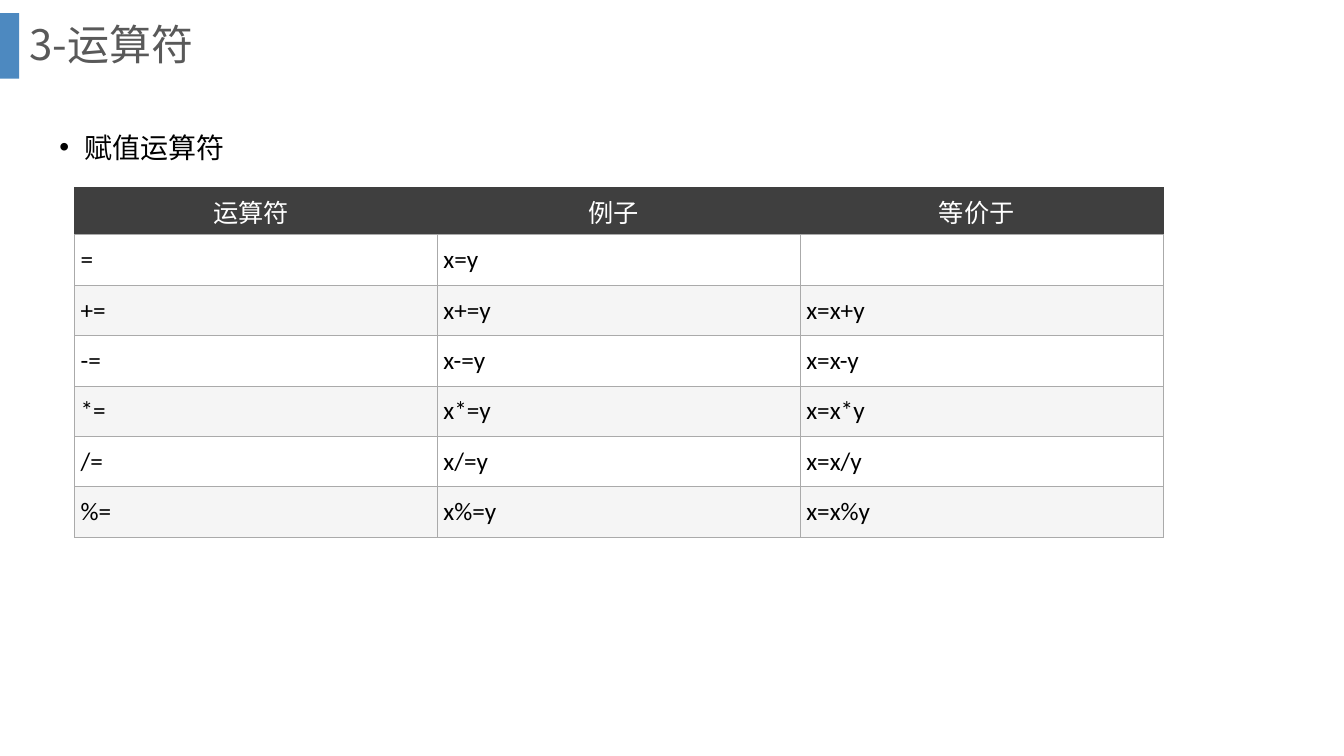
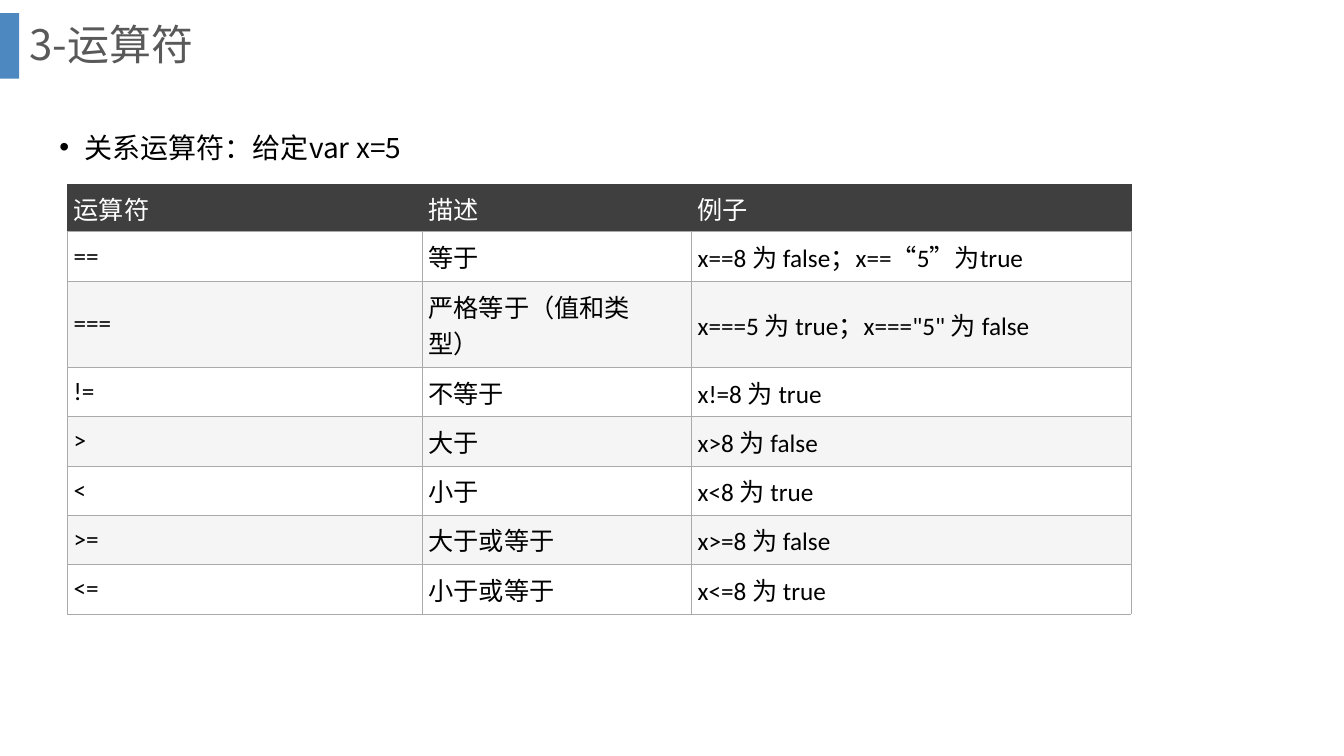
"""Build two slides on assignment and relational operators, each with a table."""
from dataclasses import dataclass

from lxml import etree
from pptx import Presentation
from pptx.dml.color import RGBColor
from pptx.enum.shapes import MSO_SHAPE
from pptx.enum.text import MSO_ANCHOR, PP_ALIGN
from pptx.oxml.ns import qn
from pptx.util import Inches, Pt

RECTANGLE = MSO_SHAPE.RECTANGLE
MIDDLE = MSO_ANCHOR.MIDDLE
LEFT, CENTER = PP_ALIGN.LEFT, PP_ALIGN.CENTER


@dataclass(frozen=True)
class Theme:
    accent: str = "2E75B6"
    title: str = "595959"
    text: str = "000000"
    header: str = "3F3F3F"
    header_text: str = "FFFFFF"
    border: str = "AAAAAA"
    stripes: tuple = ("FFFFFF", "F5F5F5")
    cjk_font: str = "Noto Sans CJK SC"
    table_font: str = "Calibri"
    title_size: int = 30
    topic_size: int = 20
    table_size: int = 18


theme = Theme()


def style_text(paragraph, text, size, color, font):
    paragraph.text = text
    paragraph.font.size = Pt(size)
    paragraph.font.name = font
    paragraph.font.color.rgb = RGBColor.from_string(color)
    run_defaults = paragraph._p.pPr.find(qn("a:defRPr"))
    etree.SubElement(run_defaults, qn("a:ea"), typeface=theme.cjk_font)


def style_cell(cell, fill, side_color, bottom_color):
    properties = cell._tc.get_or_add_tcPr()
    for side in "LRTB":
        line = etree.SubElement(properties, qn(f"a:ln{side}"), w=str(Pt(0.75)))
        solid = etree.SubElement(line, qn("a:solidFill"))
        etree.SubElement(solid, qn("a:srgbClr"),
                         val=bottom_color if side == "B" else side_color)
    cell.fill.solid()
    cell.fill.fore_color.rgb = RGBColor.from_string(fill)
    cell.vertical_anchor = MIDDLE


topics = [
    {
        "topic": "赋值运算符",
        "origin": (5.55, 24.8),
        "columns": (27, 27, 27),
        "body_row": 6.67,
        "tall_rows": {},
        "header_align": CENTER,
        "rows": [
            ("运算符", "例子", "等价于"),
            ("=", "x=y", ""),
            *((f"{sign}=", f"x{sign}=y", f"x=x{sign}y") for sign in "+-*/%"),
        ],
    },
    {
        "topic": "关系运算符：给定var x=5",
        "origin": (5.03, 24.4),
        "columns": (26.4, 20.03, 32.7),
        "body_row": 6.53,
        "tall_rows": {2: 11.4},
        "header_align": LEFT,
        "rows": [
            ("运算符", "描述", "例子"),
            ("==", "等于", "x==8 为 false；x==“5”为true"),
            ("===", "严格等于（值和类型）", 'x===5 为 true；x==="5" 为 false'),
            ("!=", "不等于", "x!=8 为 true"),
            (">", "大于", "x>8 为 false"),
            ("<", "小于", "x<8 为 true"),
            (">=", "大于或等于", "x>=8 为 false"),
            ("<=", "小于或等于", "x<=8 为 true"),
        ],
    },
]

HEADER_ROW = 6.27

deck = Presentation()
deck.slide_width, deck.slide_height = Inches(13.33), Inches(7.5)
column, row = deck.slide_width / 100, deck.slide_height / 100
blank_layout = deck.slide_layouts[6]

for content in topics:
    slide = deck.slides.add_slide(blank_layout)

    marker = slide.shapes.add_shape(RECTANGLE, 0, int(1.73 * row),
                                    int(1.43 * column), int(8.67 * row))
    marker.shadow.inherit = False
    marker.line.fill.background()
    marker.fill.solid()
    marker.fill.fore_color.rgb = RGBColor.from_string(theme.accent)
    marker_color = marker._element.spPr.find(".//" + qn("a:srgbClr"))
    etree.SubElement(marker_color, qn("a:alpha"), val="85000")

    title = slide.shapes.add_textbox(int(1.43 * column), 0,
                                     int(95 * column), int(12.4 * row)).text_frame
    title.word_wrap = True
    title.vertical_anchor = MIDDLE
    title.paragraphs[0].line_spacing = 0.9
    style_text(title.paragraphs[0], "3-运算符", theme.title_size,
               theme.title, theme.cjk_font)

    topic = slide.shapes.add_textbox(int(3.68 * column), int(14.4 * row),
                                     int(92.6 * column), int(77.3 * row)).text_frame
    topic.word_wrap = True
    bullet = topic.paragraphs[0]
    bullet.line_spacing = 1.5
    bullet.space_before = Pt(10)
    indents = bullet._p.get_or_add_pPr()
    indents.set("marL", str(Inches(0.25)))
    indents.set("indent", str(-Inches(0.25)))
    etree.SubElement(indents, qn("a:buFont"), typeface="Arial")
    etree.SubElement(indents, qn("a:buChar"), char="•")
    style_text(bullet, content["topic"], theme.topic_size, theme.text, theme.cjk_font)

    rows, widths = content["rows"], content["columns"]
    heights = [HEADER_ROW] + [content["tall_rows"].get(index, content["body_row"])
                              for index in range(1, len(rows))]
    left, top = content["origin"]
    operators = slide.shapes.add_table(
        len(rows), len(widths), int(left * column), int(top * row),
        int(sum(widths) * column), int(sum(heights) * row)).table
    for table_column, width in zip(operators.columns, widths):
        table_column.width = int(width * column)

    for index, (table_row, height, texts) in enumerate(zip(operators.rows, heights, rows)):
        table_row.height = int(height * row)
        is_header = index == 0
        fill = theme.header if is_header else theme.stripes[(index - 1) % 2]
        side_color = theme.header if is_header else theme.border
        text_color = theme.header_text if is_header else theme.text
        for cell, text in zip(table_row.cells, texts):
            style_cell(cell, fill, side_color, theme.border)
            cell.margin_left, cell.margin_right = Inches(0.06), Inches(0.16)
            cell.margin_top = cell.margin_bottom = Inches(0.05 if is_header else 0.06)
            paragraph = cell.text_frame.paragraphs[0]
            paragraph.alignment = content["header_align"] if is_header else LEFT
            style_text(paragraph, text, theme.table_size, text_color, theme.table_font)

deck.save("out.pptx")
